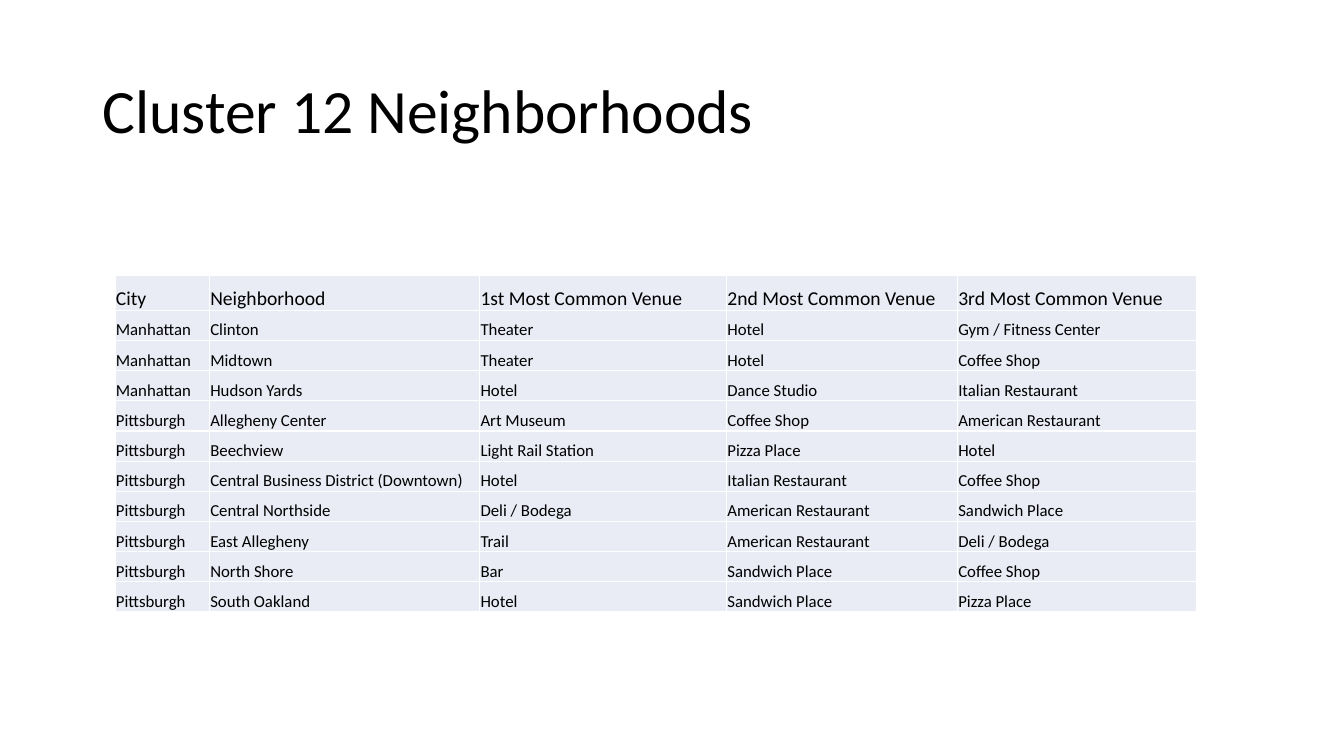
from lxml.etree import SubElement
from pptx import Presentation
from pptx.dml.color import RGBColor
from pptx.enum.text import MSO_ANCHOR as Anchor, MSO_AUTO_SIZE as AutoSize, PP_ALIGN as Align
from pptx.oxml.ns import qn
from pptx.util import Cm, Pt

FONT, INK, CELL_FILL, BORDER = "Calibri", "000000", "E9EBF5", "FFFFFF"
COL_WIDTHS = [2.38, 6.81, 6.22, 5.82, 6.02]
HEADER_HEIGHT, ROW_HEIGHT = 0.88, 0.76
HEADER = ["City", "Neighborhood", "1st Most Common Venue",
          "2nd Most Common Venue", "3rd Most Common Venue"]
NEIGHBORHOODS = [
    ["Manhattan", "Clinton", "Theater", "Hotel", "Gym / Fitness Center"],
    ["Manhattan", "Midtown", "Theater", "Hotel", "Coffee Shop"],
    ["Manhattan", "Hudson Yards", "Hotel", "Dance Studio", "Italian Restaurant"],
    ["Pittsburgh", "Allegheny Center", "Art Museum", "Coffee Shop", "American Restaurant"],
    ["Pittsburgh", "Beechview", "Light Rail Station", "Pizza Place", "Hotel"],
    ["Pittsburgh", "Central Business District (Downtown)", "Hotel",
     "Italian Restaurant", "Coffee Shop"],
    ["Pittsburgh", "Central Northside", "Deli / Bodega", "American Restaurant", "Sandwich Place"],
    ["Pittsburgh", "East Allegheny", "Trail", "American Restaurant", "Deli / Bodega"],
    ["Pittsburgh", "North Shore", "Bar", "Sandwich Place", "Coffee Shop"],
    ["Pittsburgh", "South Oakland", "Hotel", "Sandwich Place", "Pizza Place"],
]


def rgb(color):
    """Turn a hex string into a colour."""
    return RGBColor.from_string(color)


def set_font(p, size):
    """Format the text of a paragraph."""
    p.font.name, p.font.size, p.font.bold = FONT, Pt(size), False
    p.font.color.rgb = rgb(INK)


def set_title(sp, text):
    """Place and fill the title placeholder."""
    sp.left, sp.top, sp.width, sp.height = Cm(2.33), Cm(1.01), Cm(29.21), Cm(3.68)
    tf = sp.text_frame
    tf.text = text
    tf.vertical_anchor, tf.auto_size = Anchor.MIDDLE, AutoSize.NONE
    p = tf.paragraphs[0]
    p.alignment, p.line_spacing = Align.LEFT, 0.9
    set_font(p, 44)


def add_borders(cell, color, width):
    """Draw a solid line on all four sides of a cell."""
    tc_pr = cell._tc.get_or_add_tcPr()
    for side in ("lnL", "lnR", "lnT", "lnB"):
        ln = SubElement(tc_pr, qn(f"a:{side}"), w=str(Pt(width)))
        SubElement(SubElement(ln, qn("a:solidFill")), qn("a:srgbClr"), val=color)


def set_cell(cell, text, size):
    """Fill and format one table cell."""
    cell.text = text
    cell.vertical_anchor = Anchor.BOTTOM
    cell.margin_left = cell.margin_right = cell.margin_top = Cm(0.02)
    cell.margin_bottom = 0
    add_borders(cell, BORDER, 1)
    cell.fill.solid()
    cell.fill.fore_color.rgb = rgb(CELL_FILL)
    set_font(cell.text_frame.paragraphs[0], size)


def add_venue_table(s, left, top):
    """Add the table of neighborhoods and their venues."""
    rows = [HEADER] + NEIGHBORHOODS
    height = HEADER_HEIGHT + ROW_HEIGHT * len(NEIGHBORHOODS)
    table = s.shapes.add_table(len(rows), len(HEADER), Cm(left), Cm(top),
                               Cm(sum(COL_WIDTHS)), Cm(height)).table
    table.horz_banding = False
    for column, width in zip(table.columns, COL_WIDTHS):
        column.width = Cm(width)
    for i, values in enumerate(rows):
        table.rows[i].height = Cm(ROW_HEIGHT if i else HEADER_HEIGHT)
        for j, text in enumerate(values):
            set_cell(table.cell(i, j), text, 12 if i else 14)


def main():
    """Build and save the slide."""
    prs = Presentation()
    prs.slide_width, prs.slide_height = Cm(33.87), Cm(19.05)
    s = prs.slides.add_slide(prs.slide_layouts[5])
    set_title(s.shapes.title, "Cluster 12 Neighborhoods")
    add_venue_table(s, 2.9, 6.94)
    prs.save("out.pptx")


if __name__ == "__main__":
    main()
